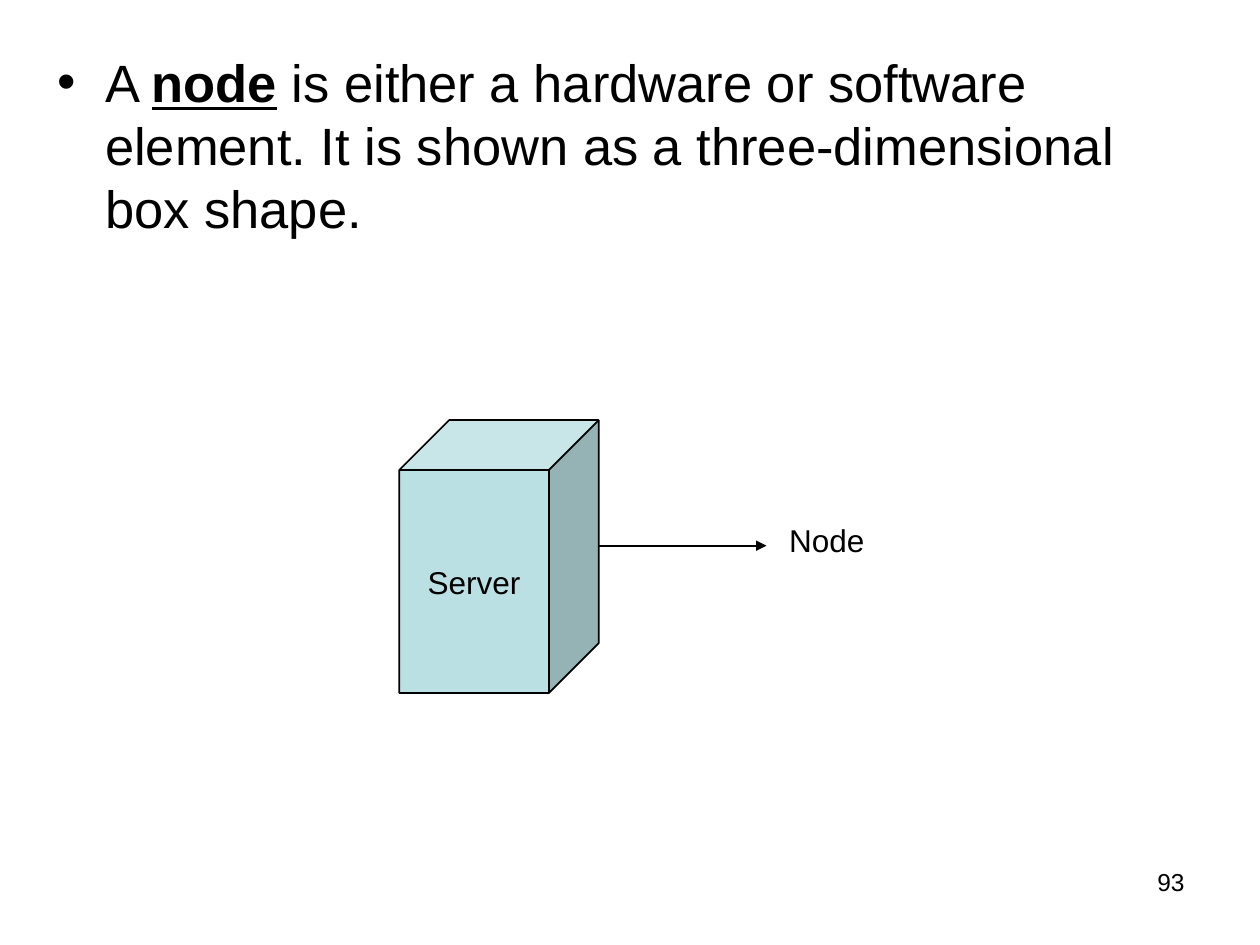
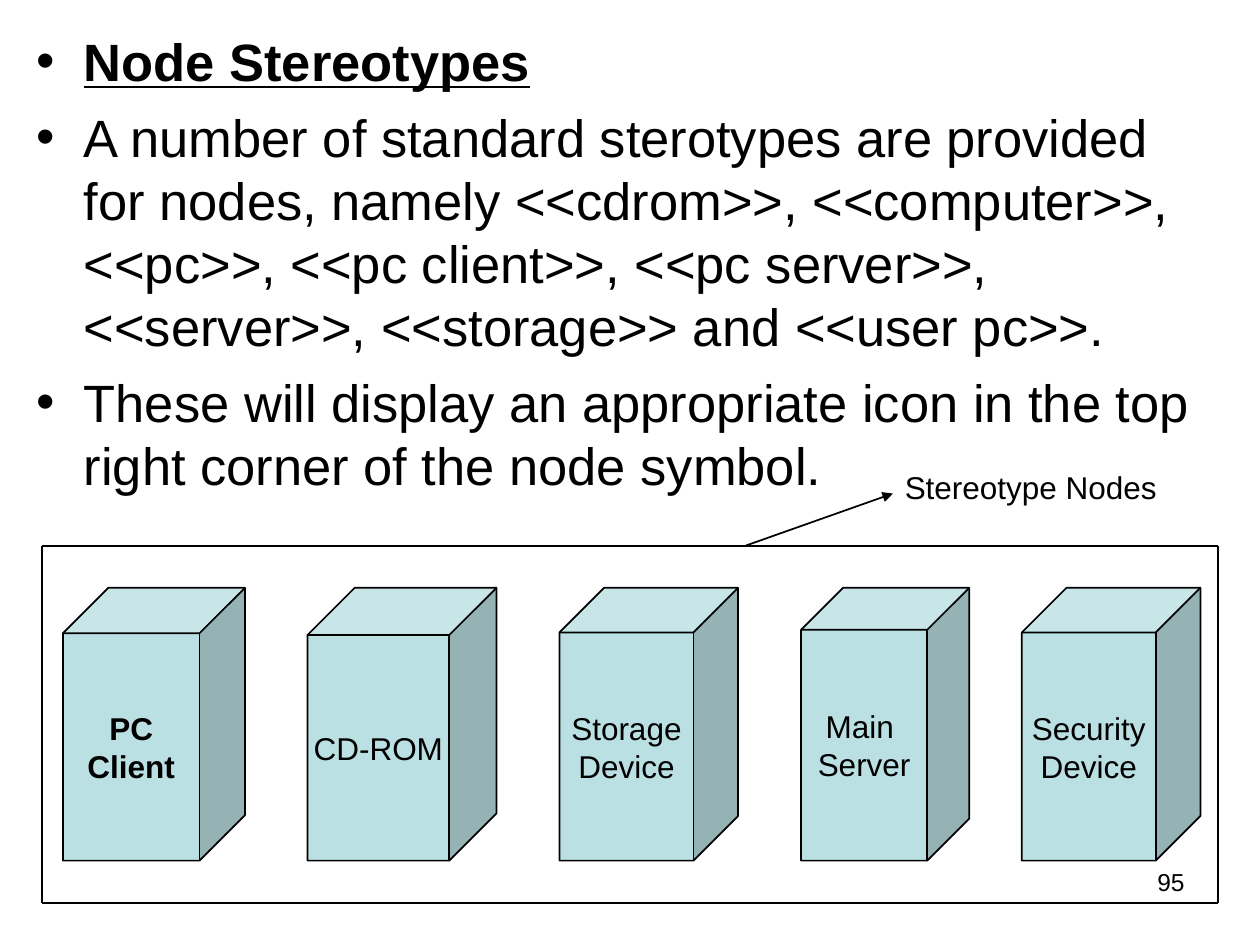
"""Build two slides on deployment nodes and node stereotypes."""
import pptx
import pptx.dml.color
import pptx.enum.shapes
import pptx.enum.text
import pptx.oxml.ns
import pptx.util
from lxml import etree

Cm = pptx.util.Cm
Pt = pptx.util.Pt
qn = pptx.oxml.ns.qn
colour = pptx.dml.color.RGBColor.from_string
ALIGN = pptx.enum.text.PP_ALIGN
BLACK = "000000"
NODE_FILL = "BBE0E3"
PLAIN = {"name": "Arial", "bold": False, "underline": False}
STRONG = {"bold": True, "underline": True}


def write_text(shape, paragraphs, size, align=ALIGN.LEFT, bulleted=False):
    """Fill a shape with paragraphs, each a list of (text, format) spans."""
    frame = shape.text_frame
    for index, spans in enumerate(paragraphs):
        para = frame.add_paragraph() if index else frame.paragraphs[0]
        para.alignment = align
        if bulleted:
            properties = para._p.get_or_add_pPr()
            properties.set("marL", str(Cm(0.95)))
            properties.set("indent", str(-Cm(0.95)))
            etree.SubElement(properties, qn("a:buFont"), typeface="Arial")
            etree.SubElement(properties, qn("a:buChar"), char="•")
            if index:
                para.space_before = Pt(7.5)
        for text, changes in spans:
            span = para.add_run()
            span.text = text
            for name, value in {**PLAIN, "size": Pt(size), **changes}.items():
                setattr(span.font, name, value)
            span.font.color.rgb = colour(BLACK)


def draw_line(page, start, end, arrow=False):
    """Draw a thin black line between two points, with an optional arrowhead."""
    line = page.shapes.add_connector(
        pptx.enum.shapes.MSO_CONNECTOR.STRAIGHT, *map(Cm, start + end))
    line.line.color.rgb = colour(BLACK)
    line.line.width = Pt(1)
    if arrow:
        etree.SubElement(line.line._get_or_add_ln(), qn("a:tailEnd"), type="triangle")
    etree.SubElement(line._element.spPr, qn("a:effectLst"))


slides = [
    {
        "number": "93",
        "body_place": (0.85, 0.85, 23.92, 4.66),
        "body": [[
            ("A ", {}),
            ("node", STRONG),
            (" is either a hardware or software element. "
             "It is shown as a three-dimensional box shape.", {}),
        ]],
        "arrow": ((12.07, 11), (15.45, 11)),
        "label": "Node",
        "label_place": (15.66, 10.37, 3.39, 1.02),
        "node_top": 8.47,
        "nodes": [(8.05, 4.02, ["Server"], {})],
        "frame": [],
    },
    {
        "number": "95",
        "body_place": (0.42, 0.42, 24.55, 8.47),
        "body": [
            [("Node Stereotypes", STRONG)],
            [("A number of standard sterotypes are provided for nodes, namely "
              "<<cdrom>>, <<computer>>, <<pc>>, <<pc client>>, <<pc server>>, "
              "<<server>>, <<storage>> and <<user pc>>.", {})],
            [("These will display an appropriate icon in the top right corner "
              "of the node symbol.", {})],
        ],
        "arrow": ((15.03, 11), (18, 9.95)),
        "label": "Stereotype Nodes",
        "label_place": (17.99, 9.31, 6.56, 1.02),
        "node_top": 11.85,
        "nodes": [
            (1.27, 3.67, ["PC", "Client"], {"bold": True}),
            (6.2, 3.81, ["CD-ROM"], {}),
            (11.28, 3.6, ["Storage", "Device"], {}),
            (16.15, 3.39, ["Main ", "Server"], {}),
            (20.6, 3.6, ["Security", "Device"], {}),
        ],
        "frame": [(0.85, 11), (0.85, 18.2), (24.55, 18.2), (24.55, 11)],
    },
]

deck = pptx.Presentation()
deck.slide_width = Cm(25.4)
deck.slide_height = Cm(19.05)

for content in slides:
    page = deck.slides.add_slide(deck.slide_layouts[6])

    body = page.shapes.add_textbox(*map(Cm, content["body_place"]))
    body_format = {
        "word_wrap": True,
        "margin_left": Cm(0.32),
        "margin_right": Cm(0.32),
        "margin_top": Cm(0.16),
        "margin_bottom": Cm(0.16),
    }
    for name, value in body_format.items():
        setattr(body.text_frame, name, value)
    write_text(body, content["body"], 30, bulleted=True)

    draw_line(page, *content["arrow"], arrow=True)
    label = page.shapes.add_textbox(*map(Cm, content["label_place"]))
    label.text_frame.word_wrap = True
    write_text(label, [[(content["label"], {})]], 18)

    for left, width, words, changes in content["nodes"]:
        node = page.shapes.add_shape(
            pptx.enum.shapes.MSO_SHAPE.CUBE,
            Cm(left), Cm(content["node_top"]), Cm(width), Cm(5.5))
        node.shadow.inherit = False
        node.fill.solid()
        node.fill.fore_color.rgb = colour(NODE_FILL)
        node.line.color.rgb = colour(BLACK)
        node.line.width = Pt(1)
        node.text_frame.word_wrap = False
        node.text_frame.vertical_anchor = pptx.enum.text.MSO_ANCHOR.MIDDLE
        write_text(node, [[(word, changes)] for word in words], 18, ALIGN.CENTER)

    corners = content["frame"]
    for start, end in zip(corners, corners[1:] + corners[:1]):
        draw_line(page, start, end)

    number = page.shapes.add_textbox(Cm(18.2), Cm(17.35), Cm(5.93), Cm(1.32))
    number.text_frame.word_wrap = True
    write_text(number, [[(content["number"], {})]], 14, ALIGN.RIGHT)

deck.save("out.pptx")
